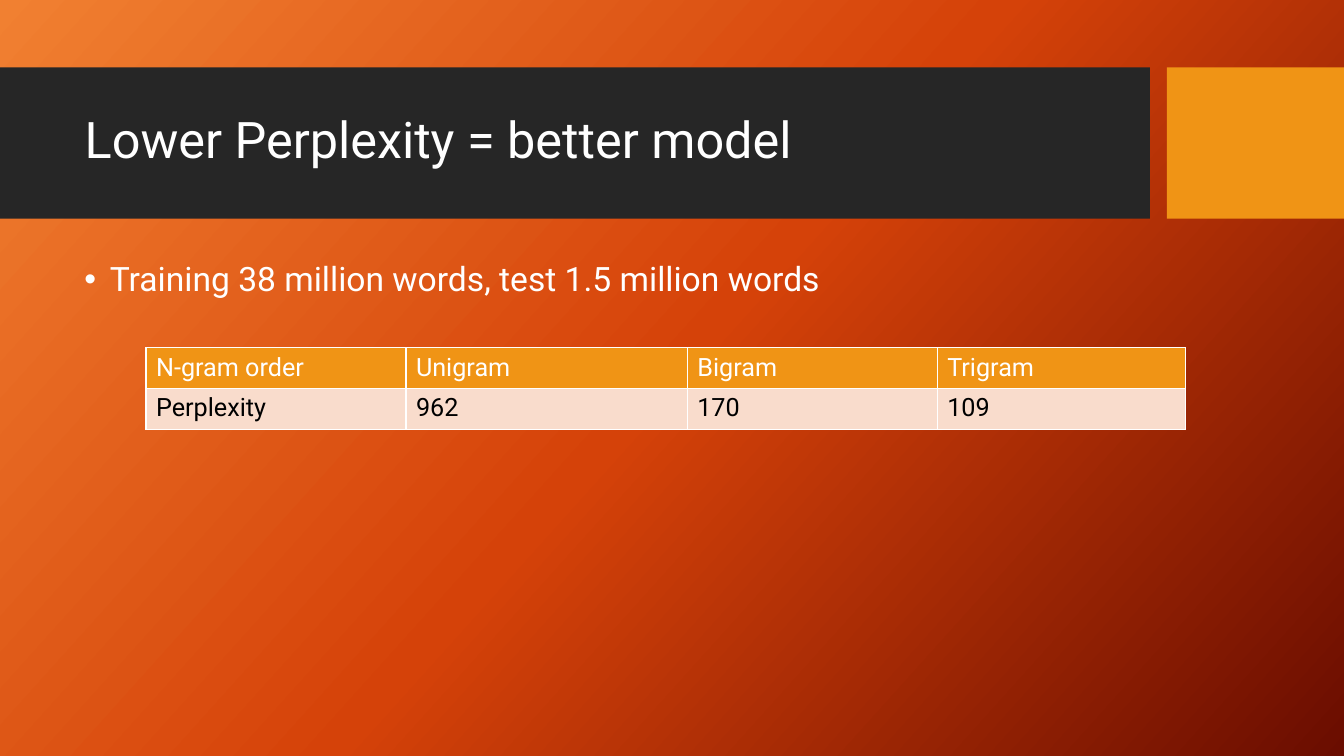
from copy import deepcopy

from lxml import etree
from pptx import Presentation
from pptx import util as u
from pptx.dml.color import RGBColor
from pptx.enum import shapes, text
from pptx.oxml import ns

COLORS = {
    "white": "FFFFFF",
    "black": "000000",
    "charcoal": "262626",
    "amber": "F09415",
    "peach": "F9DCCC",
    "glow": "F18031",
    "orange": "D54209",
    "maroon": "6A0D00",
}
FONT = "Roboto"
PERPLEXITY_ROWS = [
    ["N-gram order", "Unigram", "Bigram", "Trigram"],
    ["Perplexity", "962", "170", "109"],
]
ROW_STYLES = [("amber", "white"), ("peach", "black")]
COLUMN_WIDTHS = [6.55, 7.09, 6.3, 6.25]
ROW_HEIGHT = 1.03


def color(name):
    return RGBColor.from_string(COLORS[name])


def place(shape, left, top, width, height):
    shape.left, shape.top = u.Cm(left), u.Cm(top)
    shape.width, shape.height = u.Cm(width), u.Cm(height)


def write(frame, words, size=18, ink="white", line_spacing=1.0,
          anchor=text.MSO_ANCHOR.TOP, bullet_indent=None):
    frame.word_wrap = True
    frame.vertical_anchor = anchor
    paragraph = frame.paragraphs[0]
    paragraph.alignment = text.PP_ALIGN.LEFT
    paragraph.line_spacing = line_spacing
    run = paragraph.add_run()
    run.text = words
    run.font.name = FONT
    run.font.size = u.Pt(size)
    run.font.color.rgb = color(ink)
    if bullet_indent:
        properties = paragraph._p.get_or_add_pPr()
        properties.set("marL", str(u.Cm(bullet_indent)))
        properties.set("indent", str(-u.Cm(bullet_indent)))
        etree.SubElement(properties, ns.qn("a:buFont"), typeface="Arial")
        etree.SubElement(properties, ns.qn("a:buChar"), char="•")


def paint_background(slide, names, angle):
    fill = slide.background.fill
    fill.gradient()
    fill.gradient_angle = 360 - angle
    stop_list = next(slide._element.iter(ns.qn("a:gsLst")))
    stop_list.insert(1, deepcopy(stop_list[0]))
    for index, (stop, name) in enumerate(zip(fill.gradient_stops, names)):
        stop.position = index / (len(names) - 1)
        stop.color.rgb = color(name)


def add_band(slide, left, width, fill):
    band = slide.shapes.add_shape(
        shapes.MSO_SHAPE.RECTANGLE, u.Cm(left), u.Cm(1.7), u.Cm(width), u.Cm(3.81))
    band.shadow.inherit = False
    band.fill.solid()
    band.fill.fore_color.rgb = color(fill)
    band.line.fill.background()


def add_title(slide, words):
    title = slide.shapes.title
    place(title, 1.88, 2.08, 26.7, 3)
    slide.shapes._spTree.append(title._element)
    write(title.text_frame, words, size=36, line_spacing=0.9,
          anchor=text.MSO_ANCHOR.MIDDLE)


def add_bullet(slide, words):
    box = slide.shapes.add_textbox(u.Cm(1.88), u.Cm(6.5), u.Cm(26.7), u.Cm(10))
    write(box.text_frame, words, size=24, line_spacing=0.9, bullet_indent=0.64)


def add_borders(cell, name):
    properties = cell._tc.get_or_add_tcPr()
    for index, side in enumerate(("lnL", "lnR", "lnT", "lnB")):
        line = etree.Element(ns.qn(f"a:{side}"), w=str(u.Pt(1)))
        fill = etree.SubElement(line, ns.qn("a:solidFill"))
        etree.SubElement(fill, ns.qn("a:srgbClr"), val=COLORS[name])
        properties.insert(index, line)


def add_perplexity_table(slide):
    frame = slide.shapes.add_table(
        len(PERPLEXITY_ROWS), len(COLUMN_WIDTHS), u.Cm(3.68), u.Cm(8.76),
        u.Cm(sum(COLUMN_WIDTHS)), u.Cm(ROW_HEIGHT * len(PERPLEXITY_ROWS)))
    table = frame.table
    for column, width in zip(table.columns, COLUMN_WIDTHS):
        column.width = u.Cm(width)
    for row, values, (fill, ink) in zip(table.rows, PERPLEXITY_ROWS, ROW_STYLES):
        row.height = u.Cm(ROW_HEIGHT)
        for cell, value in zip(row.cells, values):
            cell.fill.solid()
            cell.fill.fore_color.rgb = color(fill)
            add_borders(cell, "white")
            write(cell.text_frame, value, ink=ink)
            cell.text_frame.paragraphs[0].runs[0].font.bold = False


def main():
    presentation = Presentation()
    presentation.slide_width, presentation.slide_height = u.Cm(33.87), u.Cm(19.05)
    slide = presentation.slides.add_slide(presentation.slide_layouts[5])
    paint_background(slide, ["glow", "orange", "maroon"], 42)
    add_band(slide, 0, 28.98, "charcoal")
    add_band(slide, 29.41, 4.46, "amber")
    add_title(slide, "Lower Perplexity = better model")
    add_bullet(slide, "Training 38 million words, test 1.5 million words")
    add_perplexity_table(slide)
    presentation.save("out.pptx")


if __name__ == "__main__":
    main()
